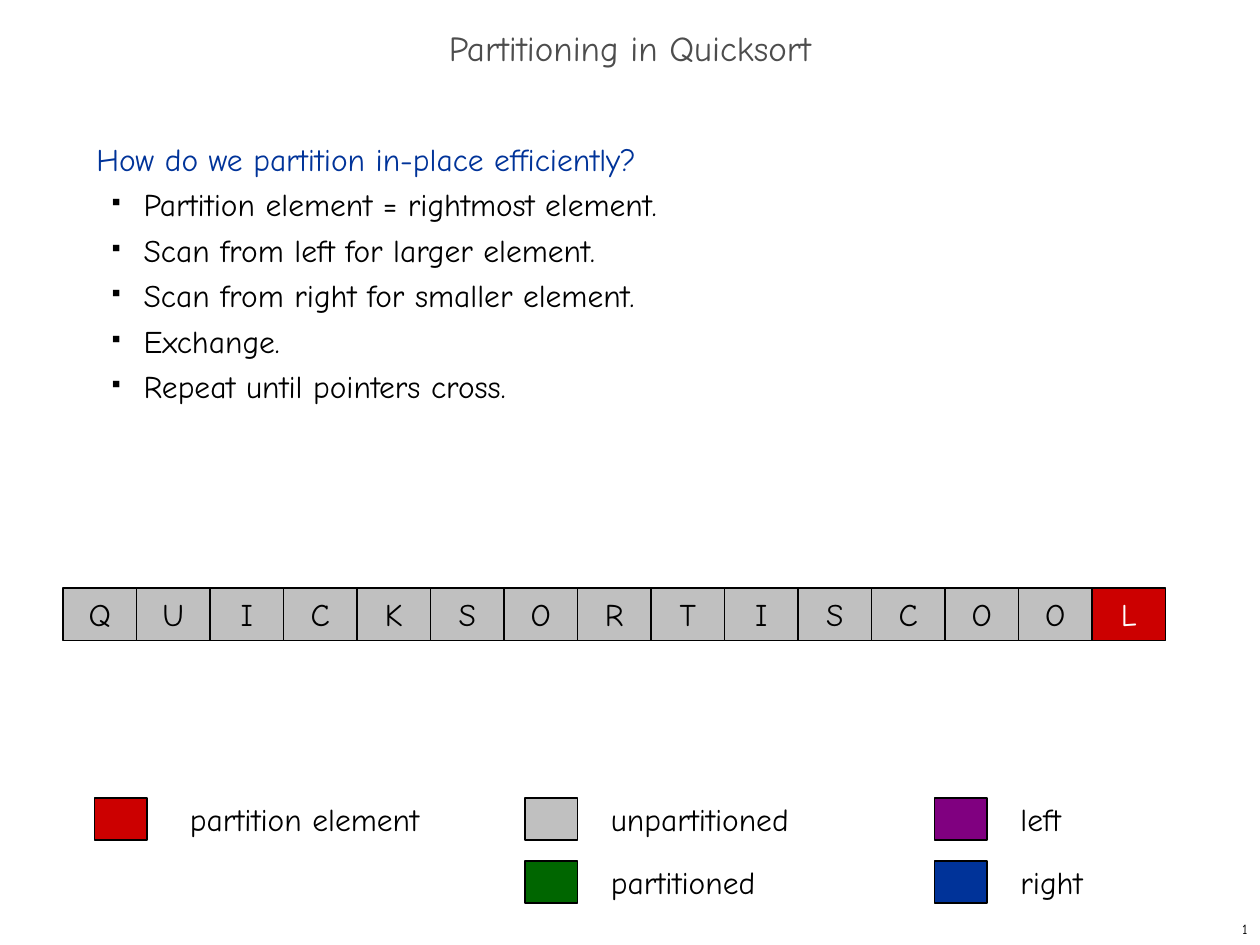
import dataclasses

import pptx
import pptx.dml.color
import pptx.enum.shapes
import pptx.enum.text
import pptx.oxml
import pptx.oxml.ns
import pptx.util

EMU_PER_PX = 7620
ALIGN = pptx.enum.text.PP_ALIGN
MIDDLE = pptx.enum.text.MSO_ANCHOR.MIDDLE


@dataclasses.dataclass(frozen=True)
class Theme:
    font: str = "Comic Neue"
    heading: str = "4D4D4D"
    ink: str = "000000"
    light: str = "FFFFFF"
    pivot: str = "CC0000"
    unpartitioned: str = "C0C0C0"
    partitioned: str = "006600"
    left: str = "800080"
    right: str = "003399"
    title_size: int = 20
    text_size: int = 18
    number_size: int = 8
    outline: float = 0.75
    leading: int = 26


THEME = Theme()
STEPS = [
    "Partition element = rightmost element.",
    "Scan from left for larger element.",
    "Scan from right for smaller element.",
    "Exchange.",
    "Repeat until pointers cross.",
]
LETTERS = "QUICKSORTISCOOL"
LEGEND = [
    ("partitioned", THEME.partitioned, 500, 820, 260, ALIGN.LEFT),
    ("partition element", THEME.pivot, 90, 760, 260, ALIGN.CENTER),
    ("left", THEME.left, 890, 760, 130, ALIGN.LEFT),
    ("right", THEME.right, 890, 820, 130, ALIGN.LEFT),
    ("unpartitioned", THEME.unpartitioned, 500, 760, 260, ALIGN.LEFT),
]


def px(length):
    return pptx.util.Emu(length * EMU_PER_PX)


def box(*lengths):
    return [px(length) for length in lengths]


def rgb(color):
    return pptx.dml.color.RGBColor.from_string(color)


def write(paragraph, words, color=THEME.ink, size=THEME.text_size, align=ALIGN.LEFT):
    paragraph.alignment = align
    run = paragraph.add_run()
    run.text = words
    run.font.name = THEME.font
    run.font.size = pptx.util.Pt(size)
    run.font.color.rgb = rgb(color)


def add_bullet(paragraph):
    paragraph.level = 1
    properties = paragraph._p.get_or_add_pPr()
    properties.set("marL", str(px(45)))
    properties.set("indent", str(px(-30)))
    namespace = pptx.oxml.ns.nsdecls("a")
    for element in (
        f'<a:buClr {namespace}><a:srgbClr val="{THEME.ink}"/></a:buClr>',
        f'<a:buSzPct {namespace} val="35000"/>',
        f'<a:buChar {namespace} char="■"/>',
    ):
        properties.append(pptx.oxml.parse_xml(element))


def add_title(slide, words):
    title = slide.shapes.title
    title.left, title.top, title.width, title.height = box(0, 20, 1200, 60)
    title.text_frame.vertical_anchor = MIDDLE
    heading = title.text_frame.paragraphs[0]
    heading.line_spacing = 0.7
    write(heading, words, THEME.heading, THEME.title_size, ALIGN.CENTER)


def add_steps(slide, question, steps):
    frame = slide.shapes.add_textbox(*box(80, 120, 1030, 320)).text_frame
    frame.word_wrap = True
    opening = frame.paragraphs[0]
    opening.line_spacing = pptx.util.Pt(THEME.leading)
    write(opening, question, THEME.right)
    for step in steps:
        item = frame.add_paragraph()
        add_bullet(item)
        item.line_spacing = pptx.util.Pt(THEME.leading)
        write(item, step)


def add_block(shapes, left, top, width, height, fill):
    block = shapes.add_shape(
        pptx.enum.shapes.MSO_SHAPE.RECTANGLE, *box(left, top, width, height)
    )
    block.shadow.inherit = False
    block.fill.solid()
    block.fill.fore_color.rgb = rgb(fill)
    block.line.color.rgb = rgb(THEME.ink)
    block.line.width = pptx.util.Pt(THEME.outline)
    return block


def add_label(shapes, left, top, width, height, words, **style):
    frame = shapes.add_textbox(*box(left, top, width, height)).text_frame
    frame.word_wrap = True
    frame.vertical_anchor = MIDDLE
    write(frame.paragraphs[0], words, **style)


def add_array(slide, letters):
    cells = slide.shapes.add_group_shape().shapes
    pivot = len(letters) - 1
    for index, letter in enumerate(letters):
        fill = THEME.pivot if index == pivot else THEME.unpartitioned
        color = THEME.light if index == pivot else THEME.ink
        cell = add_block(cells, 60 + 70 * index, 560, 70, 50, fill)
        cell.text_frame.word_wrap = False
        cell.text_frame.vertical_anchor = MIDDLE
        write(cell.text_frame.paragraphs[0], letter, color, align=ALIGN.CENTER)


def add_legend(slide, entries):
    legend = slide.shapes.add_group_shape().shapes
    for name, color, left, top, width, align in entries:
        add_block(legend, left, top, 50, 40, color)
        add_label(legend, left + 70, top, width, 40, name, align=align)


def main():
    deck = pptx.Presentation()
    deck.slide_width, deck.slide_height = box(1200, 900)
    slide = deck.slides.add_slide(deck.slide_layouts.get_by_name("Title Only"))
    add_title(slide, "Partitioning in Quicksort")
    add_steps(slide, "How do we partition in-place efficiently?", STEPS)
    add_array(slide, LETTERS)
    add_legend(slide, LEGEND)
    add_label(
        slide.shapes, 950, 870, 250, 30, "1", size=THEME.number_size, align=ALIGN.RIGHT
    )
    deck.save("out.pptx")


if __name__ == "__main__":
    main()
